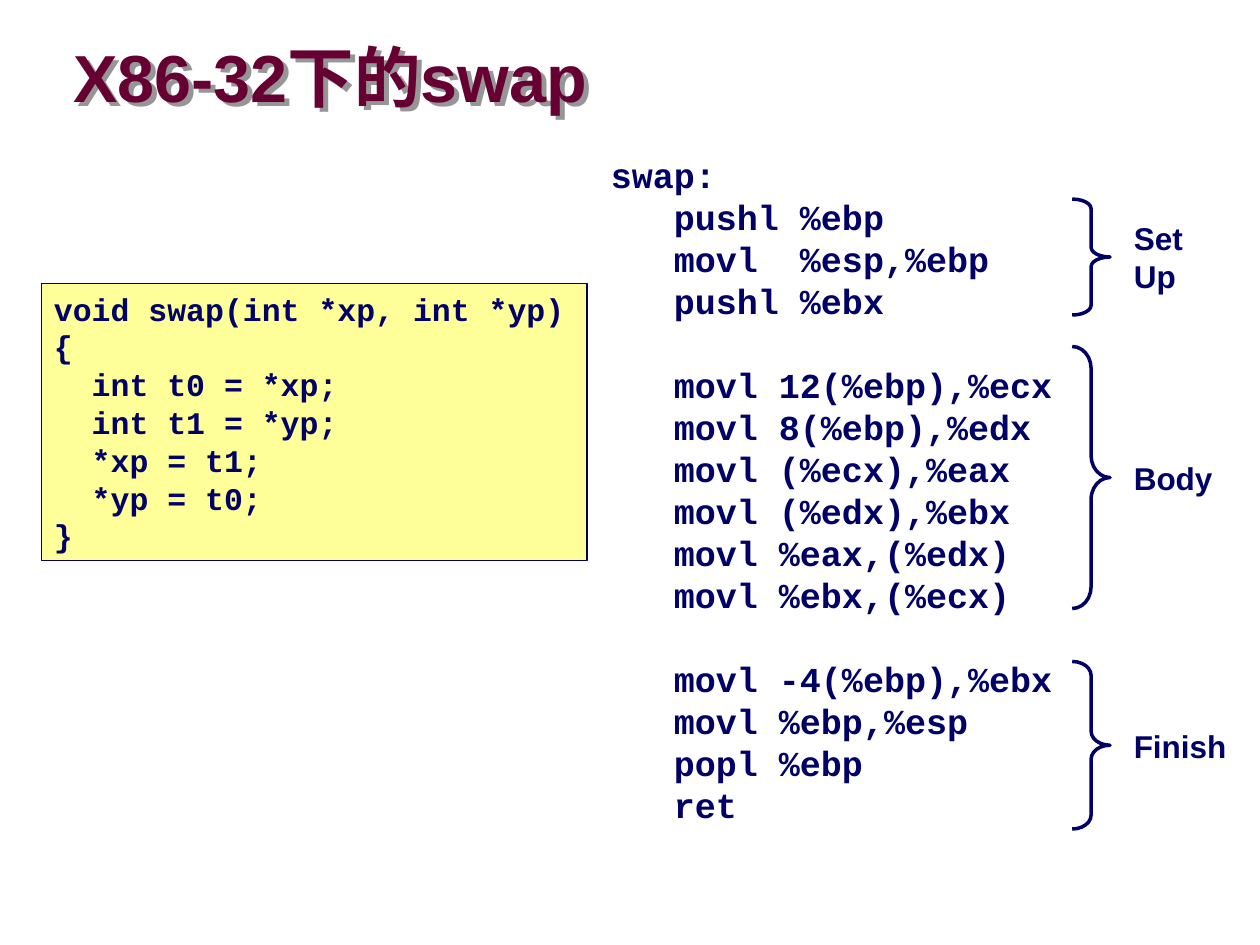
from dataclasses import dataclass

from lxml.etree import SubElement
from pptx import Presentation
from pptx.dml.color import RGBColor
from pptx.enum.shapes import MSO_SHAPE
from pptx.enum.text import MSO_ANCHOR, PP_ALIGN
from pptx.oxml.ns import qn
from pptx.util import Inches, Pt

NAVY, MAROON, YELLOW, GREY = "000066", "660033", "FFFF99", "969696"
MONO, SANS = "Courier New", "Arial"
LINE_FACTOR = 1.2
BRACE_LEFT, BRACE_WIDTH, LABEL_LEFT = 8.51, 0.3, 8.9

C_BODY = ["int t0 = *xp;", "int t1 = *yp;", "*xp = t1;", "*yp = t0;"]


@dataclass
class Line:
    """A line of text with its indent in inches and gap above in points."""
    text: str
    indent: float = 0
    gap: float = 0


@dataclass
class Stage:
    """A stage of the assembly code with its brace and label."""
    label: list[str]
    label_top: float
    label_width: float
    top: float
    height: float
    code: list[str]


STAGES = [
    Stage(["Set", "Up"], 1.69, 0.59, 1.58, 0.92,
          ["pushl %ebp", "movl  %esp,%ebp", "pushl %ebx"]),
    Stage(["Body"], 3.59, 0.82, 2.75, 2.08,
          ["movl 12(%ebp),%ecx", "movl 8(%ebp),%edx", "movl (%ecx),%eax",
           "movl (%edx),%ebx", "movl %eax,(%edx)", "movl %ebx,(%ecx)"]),
    Stage(["Finish"], 5.72, 0.93, 5.25, 1.33,
          ["movl -4(%ebp),%ebx", "movl %ebp,%esp", "popl %ebp", "ret"]),
]


def color(value: str) -> RGBColor:
    """Turn a hex string into a colour."""
    return RGBColor.from_string(value)


def write(tf, lines: list[Line], *, size=18, font=SANS, fill=NAVY, spacing=None,
          inset=(0.1, 0.05, 0), wrap=True, anchor=MSO_ANCHOR.TOP) -> None:
    """Fill a text frame with bold, left-aligned lines."""
    tf.margin_left, tf.margin_top, tf.margin_right = map(Inches, inset)
    tf.margin_bottom = Inches(0)
    tf.word_wrap = wrap
    tf.vertical_anchor = anchor
    for i, line in enumerate(lines):
        p = tf.add_paragraph() if i else tf.paragraphs[0]
        p.alignment = PP_ALIGN.LEFT
        p.line_spacing = spacing or Pt(size * LINE_FACTOR)
        p.space_before = Pt(line.gap)
        p._p.get_or_add_pPr().set("marL", str(Inches(line.indent)))
        r = p.add_run()
        r.text = line.text
        r.font.size, r.font.name, r.font.bold = Pt(size), font, True
        r.font.color.rgb = color(fill)


def add_text(s, at: tuple, lines: list[Line], **fmt):
    """Add a text box and return it."""
    sp = s.shapes.add_textbox(*map(Inches, at))
    write(sp.text_frame, lines, **fmt)
    return sp


def add_shape(s, kind, at: tuple, weight: float, fill: str | None = None):
    """Add a preset shape with a navy outline."""
    sp = s.shapes.add_shape(kind, *map(Inches, at))
    sp.shadow.inherit = False
    sp.line.color.rgb = color(NAVY)
    sp.line.width = Pt(weight)
    if fill:
        sp.fill.solid()
        sp.fill.fore_color.rgb = color(fill)
    else:
        sp.fill.background()
    return sp


def add_text_shadow(sp) -> None:
    """Let the text of an unfilled box cast a grey shadow to the lower right."""
    sp.fill.background()
    effects = SubElement(sp._element.spPr, qn("a:effectLst"))
    shadow = SubElement(effects, qn("a:outerShdw"), dist=str(Pt(4)), dir="2700000",
                        algn="ctr", rotWithShape="0")
    SubElement(shadow, qn("a:srgbClr"), val=GREY)


def add_stage(s, stage: Stage) -> None:
    """Draw the brace and the label of one stage."""
    brace = add_shape(s, MSO_SHAPE.RIGHT_BRACE,
                      (BRACE_LEFT, stage.top, BRACE_WIDTH, stage.height), 2)
    brace.adjustments[0] = stage.height / 12 / BRACE_WIDTH
    lines = [Line(t) for t in stage.label]
    add_text(s, (LABEL_LEFT, stage.label_top, stage.label_width, 0.1 + 0.3 * len(lines)),
             lines, wrap=False)


def assembly_lines() -> list[Line]:
    """List the assembly code with a free line between stages."""
    lines = [Line("swap:")]
    for n, stage in enumerate(STAGES):
        for i, text in enumerate(stage.code):
            lines.append(Line(text, 0.5, 20 * LINE_FACTOR if n and not i else 0))
    return lines


def main() -> None:
    """Build the slide and save it."""
    prs = Presentation()
    prs.slide_width, prs.slide_height = Inches(10), Inches(7.5)
    s = prs.slides.add_slide(prs.slide_layouts[6])
    title = add_text(s, (0.58, 0.33, 8.37, 0.63), [Line("X86-32下的swap")], size=38,
                     fill=MAROON, spacing=0.87, inset=(0, 0, 0),
                     anchor=MSO_ANCHOR.MIDDLE)
    add_text_shadow(title)
    box = add_shape(s, MSO_SHAPE.RECTANGLE, (0.33, 2.25, 4.33, 2.2), 1, YELLOW)
    c_lines = [Line("void swap(int *xp, int *yp)"), Line("{"),
               *(Line(t, 0.3) for t in C_BODY), Line("}")]
    write(box.text_frame, c_lines, font=MONO)
    add_text(s, (4.75, 1.17, 4, 5.43), assembly_lines(), size=20, font=MONO)
    for stage in STAGES:
        add_stage(s, stage)
    prs.save("out.pptx")


if __name__ == "__main__":
    main()
